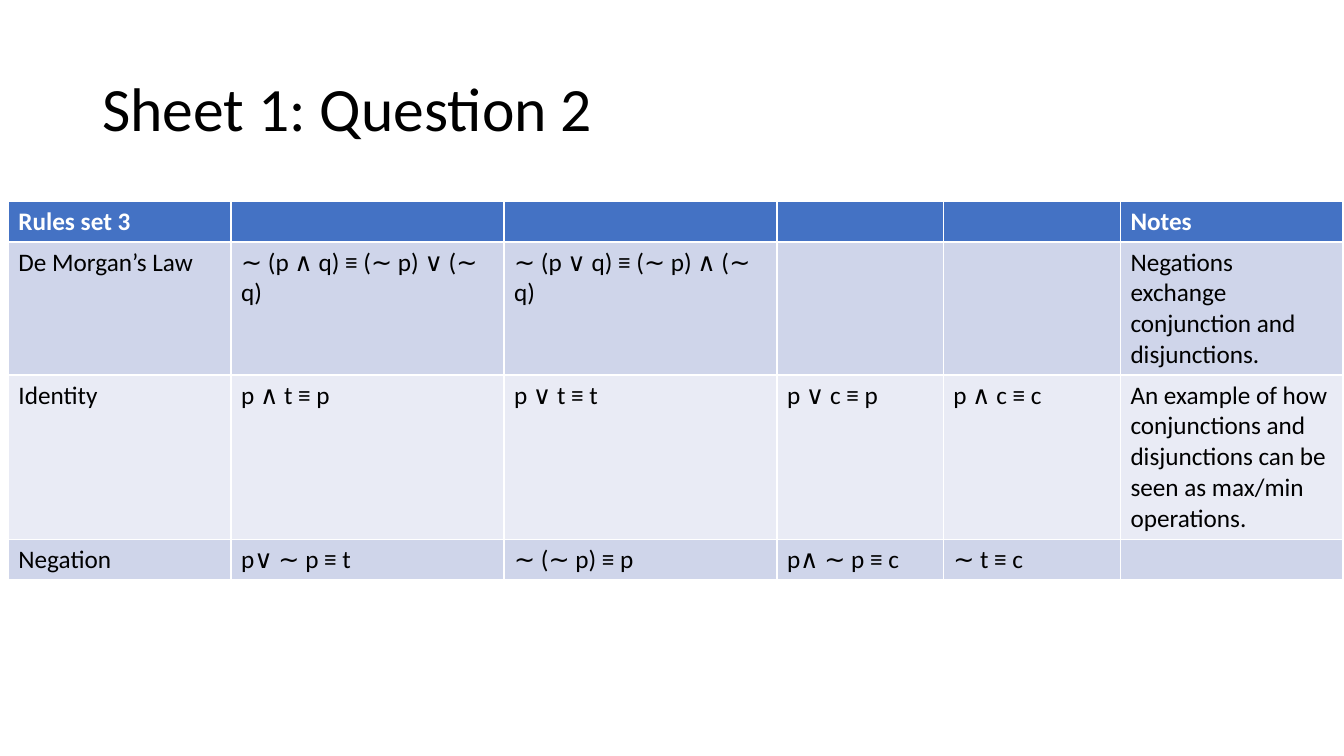
import pptx
import pptx.util
import pptx.dml.color
import pptx.enum.text

THEME = {
    "font": "Calibri",
    "title_size": 44,
    "table_size": 18,
    "ink": "000000",
    "header_ink": "FFFFFF",
    "header_fill": "4472C4",
    "band_fills": ["E9EBF5", "CFD5EA"],
}

deck = pptx.Presentation()
deck.slide_width = pptx.util.Inches(13.333)
deck.slide_height = pptx.util.Inches(7.5)
unit = deck.slide_width / 160


def grid(*counts):
    return [round(count * unit) for count in counts]


def write(frame, text, size, ink, bold=False):
    paragraph = frame.paragraphs[0]
    paragraph.text = text
    font_format = {"name": THEME["font"], "size": pptx.util.Pt(size), "bold": bold}
    for font in (paragraph.font, *(run.font for run in paragraph.runs)):
        for attribute, value in font_format.items():
            setattr(font, attribute, value)
        font.color.rgb = pptx.dml.color.RGBColor.from_string(ink)


slide = deck.slides.add_slide(deck.slide_layouts[6])

title = slide.shapes.add_textbox(*grid(11, 4.6, 138, 17.4)).text_frame
title_format = {
    "word_wrap": True,
    "vertical_anchor": pptx.enum.text.MSO_ANCHOR.MIDDLE,
}
for attribute, value in title_format.items():
    setattr(title, attribute, value)
write(title, "Sheet 1: Question 2", THEME["title_size"], THEME["ink"])
title.paragraphs[0].line_spacing = 0.9

rules = [
    ["Rules set 3", "", "", "", "", "Notes"],
    ["De Morgan’s Law", "∼ (p ∧ q) ≡ (∼ p) ∨ (∼ q)", "∼ (p ∨ q) ≡ (∼ p) ∧ (∼ q)", "", "",
     "Negations exchange conjunction and disjunctions."],
    ["Identity", "p ∧ t ≡ p", "p ∨ t ≡ t", "p ∨ c ≡ p", "p ∧ c ≡ c",
     "An example of how conjunctions and disjunctions can be seen as max/min operations."],
    ["Negation", "p∨ ∼ p ≡ t", "∼ (∼ p) ≡ p", "p∧ ∼ p ≡ c", "∼ t ≡ c", ""],
]
column_widths = [26.5, 32.5, 32.5, 19.8, 21.1, 26.5]
row_heights = [4.8, 15.84, 19.56, 4.8]

rules_table = slide.shapes.add_table(
    len(rules), len(column_widths), *grid(1, 24, sum(column_widths), sum(row_heights))
).table
for column, width in zip(rules_table.columns, grid(*column_widths)):
    column.width = width
for row, height in zip(rules_table.rows, grid(*row_heights)):
    row.height = height

for row_index, rule in enumerate(rules):
    is_header = row_index == 0
    fill = THEME["header_fill"] if is_header else THEME["band_fills"][row_index % 2]
    ink = THEME["header_ink"] if is_header else THEME["ink"]
    for column_index, text in enumerate(rule):
        cell = rules_table.cell(row_index, column_index)
        cell.fill.solid()
        cell.fill.fore_color.rgb = pptx.dml.color.RGBColor.from_string(fill)
        write(cell.text_frame, text, THEME["table_size"], ink, is_header)

deck.save("out.pptx")
